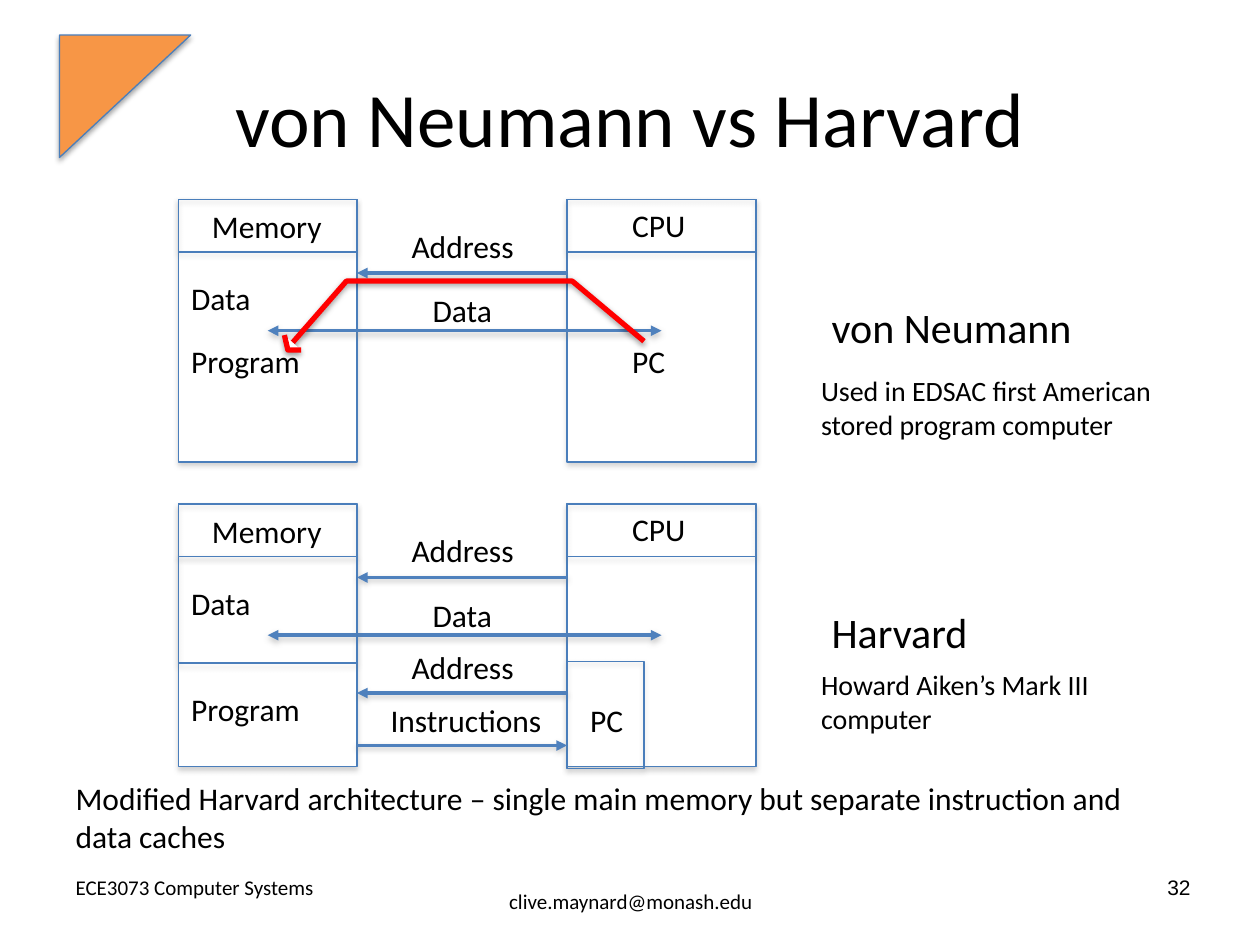
from lxml.etree import SubElement
from pptx import Presentation
from pptx.dml.color import RGBColor
from pptx.enum.shapes import MSO_CONNECTOR, MSO_SHAPE
from pptx.enum.text import MSO_ANCHOR, PP_ALIGN
from pptx.oxml.ns import qn
from pptx.util import Pt

BLACK = RGBColor(0x00, 0x00, 0x00)
WHITE = RGBColor(0xFF, 0xFF, 0xFF)
GRAY = RGBColor(0x80, 0x80, 0x80)
ORANGE = RGBColor(0xF7, 0x96, 0x46)
OUTLINE = RGBColor(0x4A, 0x7E, 0xBB)
BUS = RGBColor(0x4F, 0x81, 0xBD)
RED = RGBColor(0xFF, 0x00, 0x00)

# Columns and row heights shared by both diagrams, in points
MEMORY_LEFT, MEMORY_WIDTH = 102, 102
MEMORY_RIGHT = MEMORY_LEFT + MEMORY_WIDTH
CPU_LEFT, CPU_WIDTH = 324, 108
UNIT_HEIGHT, HEADER_HEIGHT = 150, 30


class SlideBuilder:
    font_name = "Calibri"
    inset = Pt(3.6)

    def __init__(self, slide):
        self.slide = slide

    def format_text(self, shape, text, size, align, anchor, font=None):
        frame = shape.text_frame
        frame.text = text
        frame.word_wrap = True
        frame.vertical_anchor = anchor
        frame.margin_left = frame.margin_right = self.inset
        frame.margin_top = frame.margin_bottom = self.inset
        paragraph = frame.paragraphs[0]
        paragraph.alignment = align
        run_font = paragraph.runs[0].font
        run_font.name = font or self.font_name
        run_font.size = Pt(size)
        run_font.color.rgb = BLACK

    def title(self, text, left, top, width, height):
        title = self.slide.shapes.title
        title.left, title.top = Pt(left), Pt(top)
        title.width, title.height = Pt(width), Pt(height)
        self.format_text(title, text, 44, PP_ALIGN.CENTER, MSO_ANCHOR.MIDDLE)

    def label(self, text, left, top, width, height=26, size=18,
              align=PP_ALIGN.LEFT, anchor=MSO_ANCHOR.TOP, font=None):
        box = self.slide.shapes.add_textbox(
            Pt(left), Pt(top), Pt(width), Pt(height))
        self.format_text(box, text, size, align, anchor, font)

    def add_shadow(self, effects, color, distance, opacity):
        shadow = SubElement(effects, qn("a:outerShdw"), blurRad=str(Pt(3)),
                            dist=str(Pt(distance)), dir="5400000",
                            rotWithShape="0")
        tint = SubElement(shadow, qn("a:srgbClr"), val=str(color))
        SubElement(tint, qn("a:alpha"), val=str(opacity * 1000))

    def style(self, shape, fill, line, weight, shadow):
        if fill is None:
            shape.fill.background()
        else:
            shape.fill.solid()
            shape.fill.fore_color.rgb = fill
        shape.line.color.rgb = line
        shape.line.width = Pt(weight)
        shape.shadow.inherit = False
        effects = shape._element.spPr.find(qn("a:effectLst"))
        self.add_shadow(effects, *shadow)

    def box(self, left, top, width, height, fill=None):
        box = self.slide.shapes.add_shape(
            MSO_SHAPE.RECTANGLE, Pt(left), Pt(top), Pt(width), Pt(height))
        self.style(box, fill, OUTLINE, 0.75, (GRAY, 1.8, 35))

    def outline(self, points, closed, fill, line, weight, shadow):
        start, *rest = [(Pt(x), Pt(y)) for x, y in points]
        builder = self.slide.shapes.build_freeform(*start)
        builder.add_line_segments(rest, close=closed)
        self.style(builder.convert_to_shape(), fill, line, weight, shadow)

    def arrow(self, start, end, y, both_ends=False):
        arrow = self.slide.shapes.add_connector(
            MSO_CONNECTOR.STRAIGHT, Pt(start), Pt(y), Pt(end), Pt(y))
        arrow.line.color.rgb = BUS
        arrow.line.width = Pt(2)
        line = arrow.line._get_or_add_ln()
        if both_ends:
            SubElement(line, qn("a:headEnd"), type="triangle")
        SubElement(line, qn("a:tailEnd"), type="triangle")
        effects = SubElement(arrow._element.spPr, qn("a:effectLst"))
        self.add_shadow(effects, GRAY, 1.6, 38)

    def architecture(self, top, name, program_top, pc_left, pc_top):
        """Memory and CPU joined by an address bus and a data bus."""
        self.box(MEMORY_LEFT, top, MEMORY_WIDTH, UNIT_HEIGHT, WHITE)
        self.label("Memory", 117.5, top + 1, 95)
        self.label("Data", 105.6, top + 42, 95)
        self.label("Program", 105.6, program_top, 106)
        self.box(CPU_LEFT, top, CPU_WIDTH, UNIT_HEIGHT, WHITE)
        self.label("CPU", 357.6, top, 65)
        self.label("PC", pc_left, pc_top, 53)
        self.box(MEMORY_LEFT, top, MEMORY_WIDTH, HEADER_HEIGHT)
        self.box(CPU_LEFT, top, CPU_WIDTH, HEADER_HEIGHT)
        self.arrow(CPU_LEFT, MEMORY_RIGHT, top + 42)
        self.arrow(378, 153, top + 75, both_ends=True)
        self.label("Address", 231.6, top + 12, 89)
        self.label("Data", 243.6, top + 49, 89)
        self.label(name, 471.6, top + 55, 197, 31, size=24)


def main():
    presentation = Presentation()
    presentation.slide_width, presentation.slide_height = Pt(720), Pt(540)
    slide = presentation.slides.add_slide(presentation.slide_layouts[5])
    builder = SlideBuilder(slide)

    # Corner triangle and title
    builder.outline([(34, 20), (34, 90), (109, 20)], True,
                    ORANGE, OUTLINE, 0.75, (BLACK, 1.8, 35))
    builder.title("von Neumann vs Harvard", 36, 21.6, 648, 90)

    # von Neumann: program fetches share the data bus, shown in red
    builder.architecture(114, "von Neumann", 192, 357.6, 192)
    fetch_shadow = (BLACK, 1.6, 38)
    builder.outline([(368, 195), (327, 160.6), (198, 160.6), (167, 196)],
                    False, None, RED, 3, fetch_shadow)
    builder.outline([(172, 200), (164.5, 200), (162.5, 191.5)],
                    False, WHITE, RED, 3, fetch_shadow)

    # Harvard: separate program memory with its own buses
    builder.architecture(288, "Harvard", 391, 333.6, 397)
    builder.arrow(CPU_LEFT, MEMORY_RIGHT, 396)
    builder.label("Address", 231.6, 367, 89)
    builder.label("Instructions", 219.6, 397, 113)
    builder.box(MEMORY_LEFT, 318, MEMORY_WIDTH, 61)
    builder.box(CPU_LEFT, 378, 44, 61)
    builder.arrow(MEMORY_RIGHT, CPU_LEFT, 426)

    # Remarks
    builder.label("Modified Harvard architecture – single main memory but "
                  "separate instruction and data caches", 39.6, 441.5, 629, 49)
    builder.label("Used in EDSAC first American stored program computer",
                  465.6, 210, 227, 44, size=16)
    builder.label("Howard Aiken’s Mark III computer",
                  465.6, 378, 227, 44, size=16)

    # Footer
    footer = {"height": 19.4, "size": 12, "anchor": MSO_ANCHOR.MIDDLE}
    builder.label("ECE3073 Computer Systems", 39.6, 497.5, 160.6, **footer)
    builder.label("clive.maynard@monash.edu", 250, 505.4, 221,
                  align=PP_ALIGN.CENTER, **footer)
    builder.label("32", 654, 497.5, 30, align=PP_ALIGN.RIGHT,
                  font="Arial", **footer)

    presentation.save("out.pptx")


if __name__ == "__main__":
    main()
